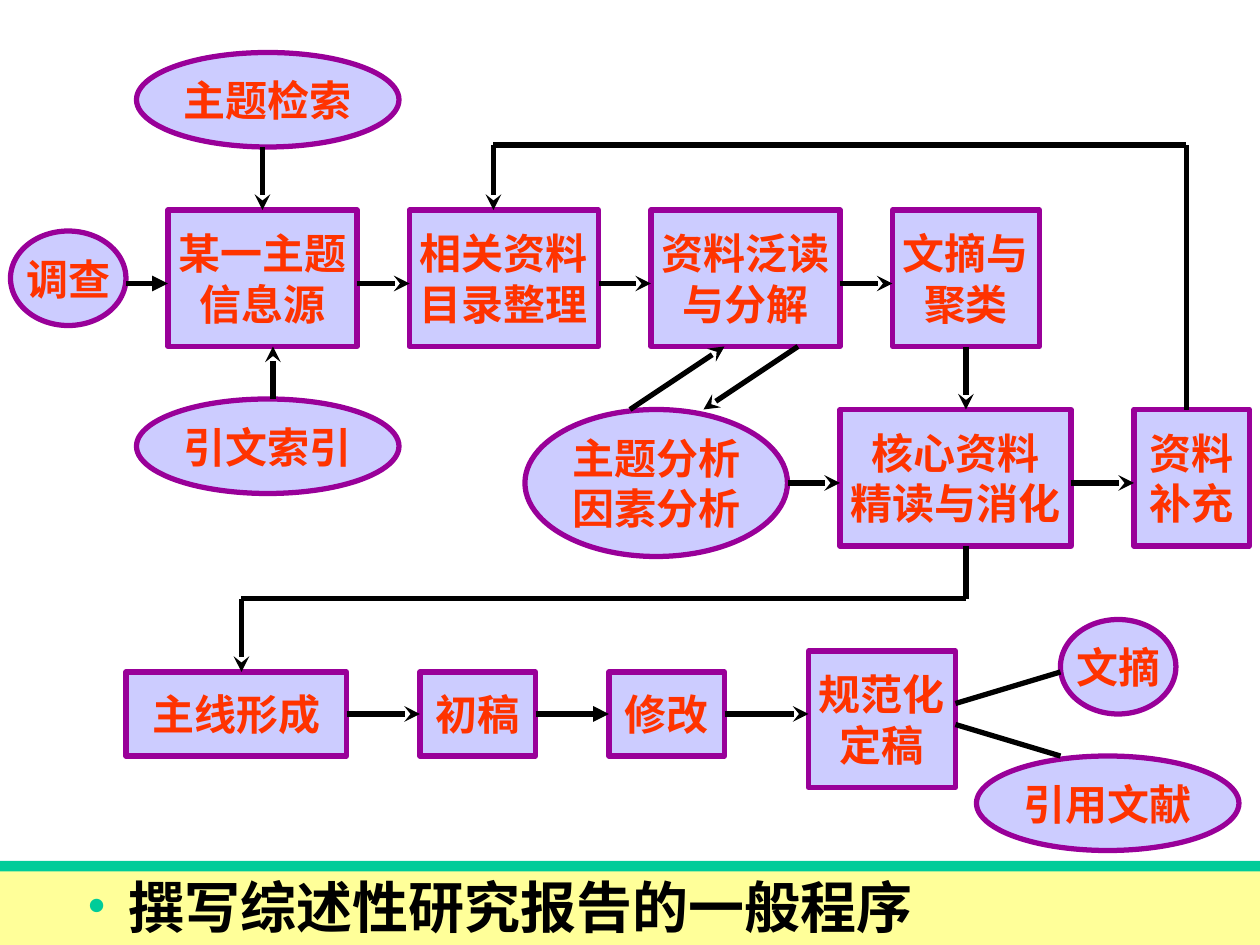
from itertools import pairwise

from lxml import etree
from pptx import Presentation
from pptx.dml.color import RGBColor
from pptx.enum.shapes import MSO_CONNECTOR, MSO_SHAPE
from pptx.enum.text import MSO_ANCHOR, MSO_AUTO_SIZE, PP_ALIGN
from pptx.oxml.ns import qn
from pptx.util import Inches, Pt

RECTANGLE = MSO_SHAPE.RECTANGLE
OVAL = MSO_SHAPE.OVAL
STRAIGHT = MSO_CONNECTOR.STRAIGHT
MIDDLE = MSO_ANCHOR.MIDDLE
NO_AUTOFIT = MSO_AUTO_SIZE.NONE
CENTER = PP_ALIGN.CENTER
LEFT = PP_ALIGN.LEFT

COLUMNS, ROWS = 120, 90
FONT = "Times New Roman"
BLACK, GREEN, YELLOW = "000000", "00CC99", "FFFF99"
LILAC, PURPLE, RED = "CCCCFF", "990099", "FF3300"

TITLE = "撰写综述性研究报告的一般程序"
BANDS = [(0, 82, COLUMNS, 8, YELLOW), (0, 82, COLUMNS, 1, GREEN)]

STEPS = [
    ("某一主题\n信息源", 16, 20, 18, 13),
    ("相关资料\n目录整理", 39, 20, 18, 13),
    ("资料泛读\n与分解", 62, 20, 18, 13),
    ("文摘与\n聚类", 85, 20, 14, 13),
    ("核心资料\n精读与消化", 80, 39, 22, 13),
    ("资料\n补充", 108, 39, 11, 13),
    ("主线形成", 12, 64, 21, 8),
    ("初稿", 40, 64, 11, 8),
    ("修改", 58, 64, 11, 8),
    ("规范化\n定稿", 77, 62, 14, 13),
]
INPUTS = [
    ("调查", 1, 22, 11, 9),
    ("主题检索", 13, 5, 25, 9),
    ("引文索引", 13, 38, 25, 9),
    ("主题分析\n因素分析", 50, 39, 25, 14),
    ("文摘", 101, 59, 11, 9),
    ("引用文献", 93, 72, 25, 9),
]
ROUTES = {
    "triangle": [
        [(12, 27), (16, 27)],
        [(51, 68), (58, 68)],
    ],
    "stealth": [
        [(34, 27), (39, 27)],
        [(57, 27), (62, 27)],
        [(80, 27), (85, 27)],
        [(25, 14), (25, 20)],
        [(26, 38), (26, 33)],
        [(92, 33), (92, 39)],
        [(75, 46), (80, 46)],
        [(102, 46), (108, 46)],
        [(92, 52), (92, 57), (23, 57), (23, 64)],
        [(113, 39), (113, 13.8), (47, 13.8), (47, 20)],
        [(33, 68), (40, 68)],
        [(69, 68), (77, 68)],
        [(60, 39), (69, 33)],
        [(76, 33), (67, 39)],
    ],
    None: [
        [(91, 67), (101, 64)],
        [(91, 69), (101, 72)],
    ],
}

presentation = Presentation()
presentation.slide_width = Inches(10)
presentation.slide_height = Inches(7.5)
slide = presentation.slides.add_slide(presentation.slide_layouts[5])
shapes = slide.shapes


def color(value):
    return RGBColor.from_string(value)


def across(column):
    return round(presentation.slide_width * column / COLUMNS)


def down(row):
    return round(presentation.slide_height * row / ROWS)


def write(frame, text, size=24, ink=RED, align=CENTER):
    frame.vertical_anchor = MIDDLE
    for index, line in enumerate(text.split("\n")):
        paragraph = frame.add_paragraph() if index else frame.paragraphs[0]
        paragraph.alignment = align
        run = paragraph.add_run()
        run.text = line
        run.font.name = FONT
        run.font.size = Pt(size)
        run.font.bold = True
        run.font.color.rgb = color(ink)


def add_block(kind, left, top, width, height, fill, outline=None):
    shape = shapes.add_shape(kind, across(left), down(top), across(width), down(height))
    shape.shadow.inherit = False
    shape.fill.solid()
    shape.fill.fore_color.rgb = color(fill)
    if outline:
        shape.line.color.rgb = color(outline)
        shape.line.width = Pt(3)
    else:
        shape.line.fill.background()
    return shape


def add_node(kind, text, *box):
    frame = add_block(kind, *box, LILAC, PURPLE).text_frame
    frame.word_wrap = False
    write(frame, text)


def add_line(start, end, arrowhead=None):
    connector = shapes.add_connector(
        STRAIGHT, across(start[0]), down(start[1]), across(end[0]), down(end[1])
    )
    connector.line.color.rgb = color(BLACK)
    connector.line.width = Pt(3)
    if arrowhead:
        outline = connector.line._get_or_add_ln()
        etree.SubElement(outline, qn("a:tailEnd"), type=arrowhead)
    etree.SubElement(connector._element.spPr, qn("a:effectLst"))


def add_bullet(paragraph, character, ink, indent):
    properties = paragraph._p.get_or_add_pPr()
    properties.set("marL", str(indent))
    properties.set("indent", str(-indent))
    bullet_color = etree.SubElement(properties, qn("a:buClr"))
    etree.SubElement(bullet_color, qn("a:srgbClr"), val=ink)
    etree.SubElement(properties, qn("a:buFont"), typeface=FONT)
    etree.SubElement(properties, qn("a:buChar"), char=character)


for *box, fill in BANDS:
    add_block(RECTANGLE, *box, fill)
for step in STEPS:
    add_node(RECTANGLE, *step)
for item in INPUTS:
    add_node(OVAL, *item)
for arrowhead, routes in ROUTES.items():
    for route in routes:
        *bends, last = pairwise(route)
        for segment in bends:
            add_line(*segment)
        add_line(*last, arrowhead)

title = shapes.title
title.left, title.top = Inches(0.59), Inches(6.87)
title.width, title.height = Inches(7.24), Inches(0.64)
title.text_frame.auto_size = NO_AUTOFIT
title.text_frame.word_wrap = True
add_bullet(title.text_frame.paragraphs[0], "•", GREEN, Inches(0.33))
write(title.text_frame, TITLE, size=32, ink=BLACK, align=LEFT)
shapes._spTree.append(title._element)

presentation.save("out.pptx")
